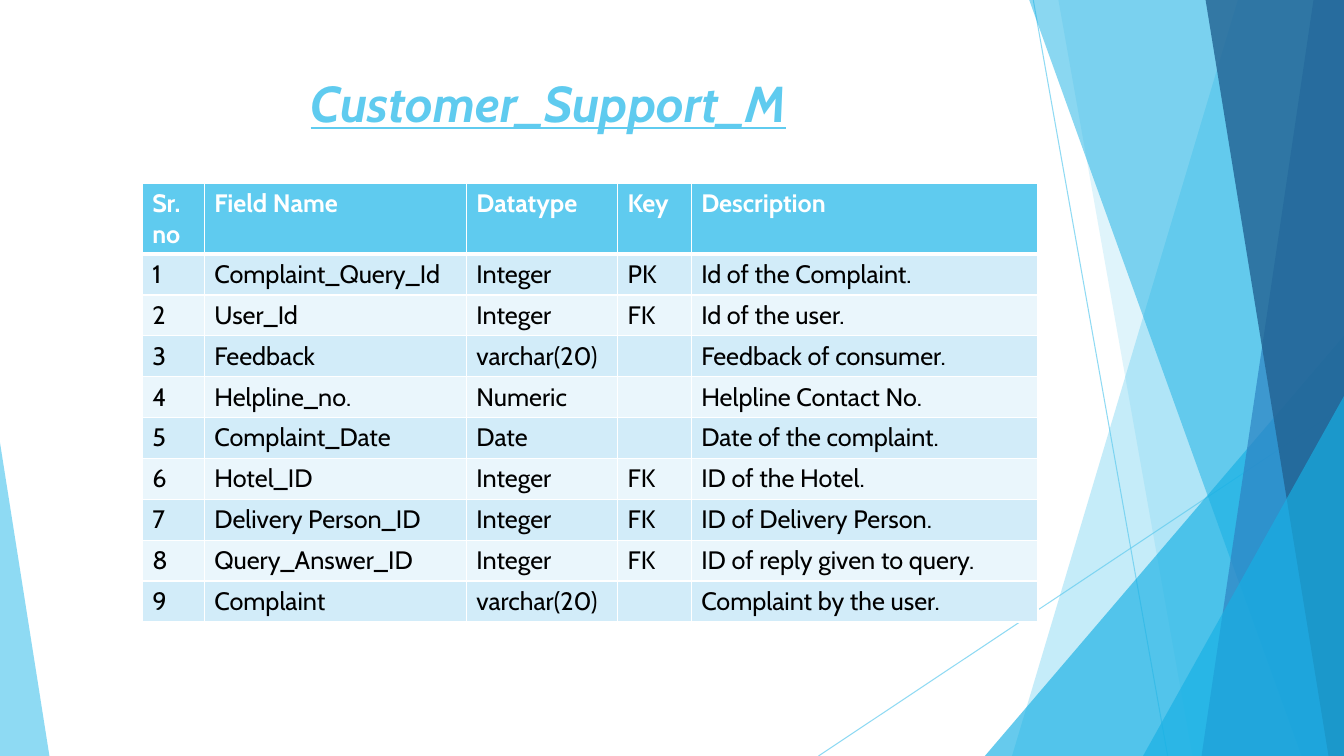
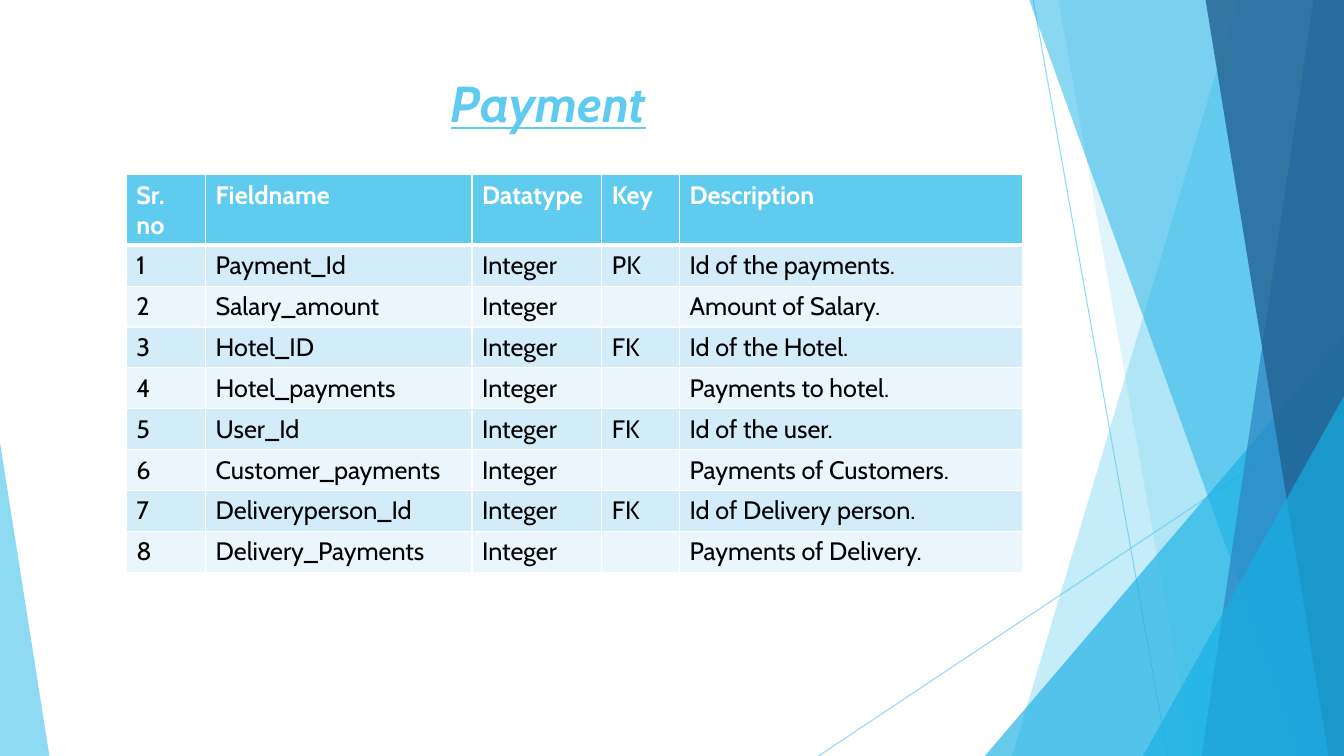
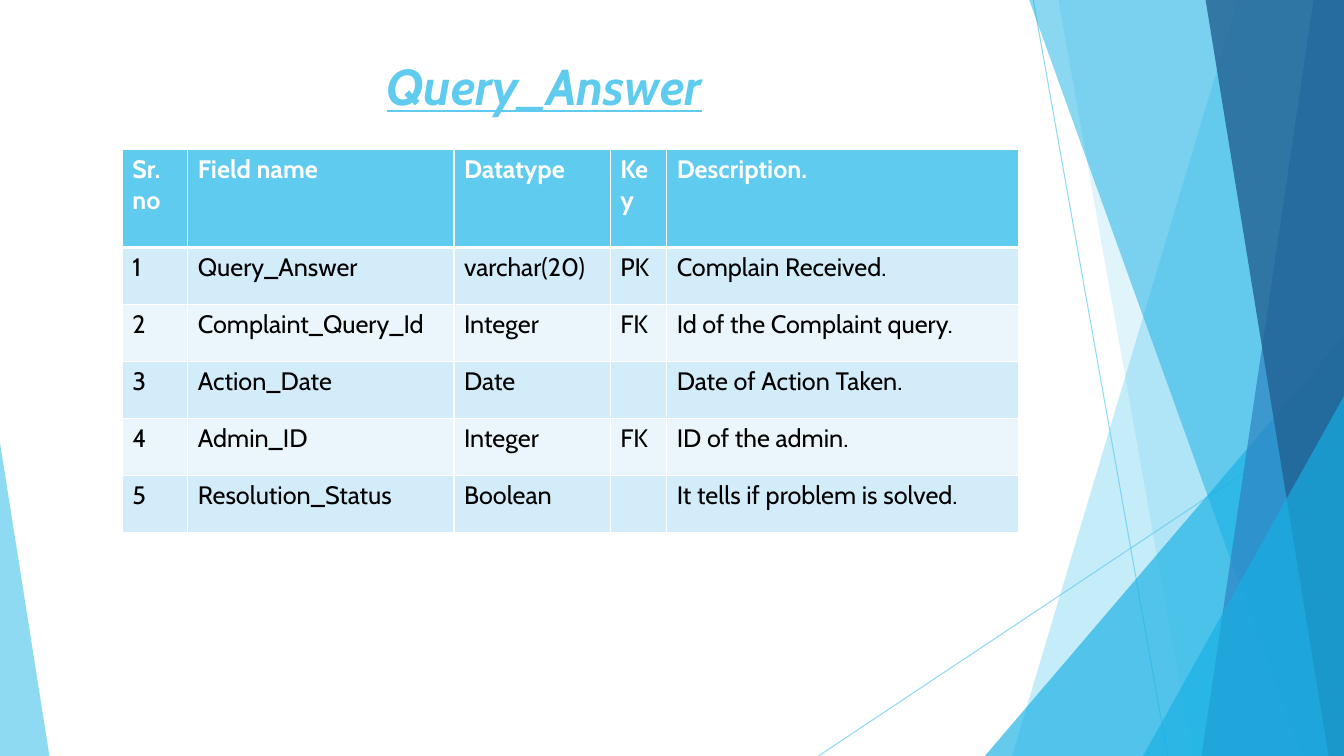
from dataclasses import dataclass

from lxml.etree import SubElement
from pptx import Presentation
from pptx.dml.color import RGBColor
from pptx.enum.shapes import MSO_CONNECTOR, MSO_SHAPE
from pptx.enum.text import MSO_ANCHOR, PP_ALIGN
from pptx.oxml import parse_xml
from pptx.oxml.ns import nsdecls, qn
from pptx.util import Inches, Pt

WIDE, HIGH = Inches(13.33), Inches(7.5)
FONT = "Cabin"
HUES = {
    "sky": "5FCBEF",
    "cyan": "17B0E4",
    "blue": "2E83C3",
    "navy": "226292",
    "dark": "D2ECF9",
    "light": "EAF6FC",
    "white": "FFFFFF",
    "black": "000000",
}


@dataclass(frozen=True)
class Ray:
    start: tuple[float, float]
    end: tuple[float, float]


@dataclass(frozen=True)
class Band:
    head: float
    foot: float
    hue: str
    alpha: int


@dataclass(frozen=True)
class Peak:
    left: float
    top: float
    right: float
    tip: int
    hue: str
    alpha: int


@dataclass(frozen=True)
class Sheet:
    title: str
    box: tuple[float, float, float, float]
    left: float
    top: float
    cols: tuple[float, ...]
    header: float
    row: float
    names: tuple[str, ...]
    fields: tuple[tuple[str, str, str, str], ...]


RAYS = (
    Ray((76.88, 0), (86.88, 100)),
    Ray((100, 53.73), (60.9, 100)),
)
FACETS = (
    Band(92.1, 75.3, "sky", 36),
    Band(78.75, 88.73, "sky", 20),
    Peak(73.28, 44.4, 100, 1, "cyan", 66),
    Band(76.58, 96.83, "cyan", 50),
    Band(97.73, 89.4, "blue", 70),
    Band(89.7, 98.85, "navy", 80),
    Peak(85.05, 52.4, 100, 1, "cyan", 66),
    Peak(0, 58.53, 3.68, 0, "sky", 70),
)

SHEETS = (
    Sheet(
        "Customer_Support_M", (5.55, 8.93, 70.5, 13.2), 10.58, 24.27,
        (4.62, 19.5, 11.25, 5.48, 25.8), 9.33, 5.41,
        ("Sr. no", "Field Name", "Datatype", "Key", "Description"),
        (
            ("Complaint_Query_Id", "Integer", "PK", "Id of the Complaint."),
            ("User_Id", "Integer", "FK", "Id of the user."),
            ("Feedback", "varchar(20)", "", "Feedback of consumer."),
            ("Helpline_no.", "Numeric", "", "Helpline Contact No."),
            ("Complaint_Date", "Date", "", "Date of the complaint."),
            ("Hotel_ID", "Integer", "FK", "ID of the Hotel."),
            ("Delivery Person_ID", "Integer", "FK", "ID of Delivery Person."),
            ("Query_Answer_ID", "Integer", "FK", "ID of reply given to query."),
            ("Complaint", "varchar(20)", "", "Complaint by the user."),
        ),
    ),
    Sheet(
        "Payment", (5.55, 8.93, 70.5, 14.13), 9.4, 23.1,
        (5.9, 19.82, 9.66, 5.79, 25.5), 9.33, 5.41,
        ("Sr. no", "Fieldname", "Datatype", "Key", "Description"),
        (
            ("Payment_Id", "Integer", "PK", "Id of the payments."),
            ("Salary_amount", "Integer", "", "Amount of Salary."),
            ("Hotel_ID", "Integer", "FK", "Id of the Hotel."),
            ("Hotel_payments", "Integer", "", "Payments to hotel."),
            ("User_Id", "Integer", "FK", "Id of the user."),
            ("Customer_payments", "Integer", "", "Payments of Customers."),
            ("Deliveryperson_Id", "Integer", "FK", "Id of Delivery person."),
            ("Delivery_Payments", "Integer", "", "Payments of Delivery."),
        ),
    ),
    Sheet(
        "Query_Answer", (5.25, 6.67, 70.5, 11.87), 9.1, 19.75,
        (4.88, 19.8, 11.63, 4.2, 26.18), 13, 7.53,
        ("Sr. no", "Field name", "Datatype", "Key", "Description."),
        (
            ("Query_Answer", "varchar(20)", "PK", "Complain Received."),
            ("Complaint_Query_Id", "Integer", "FK", "Id of the Complaint query."),
            ("Action_Date", "Date", "", "Date of Action Taken."),
            ("Admin_ID", "Integer", "FK", "ID of the admin."),
            ("Resolution_Status", "Boolean", "", "It tells if problem is solved."),
        ),
    ),
)


def across(share: float) -> int:
    return round(WIDE * share / 100)


def down(share: float) -> int:
    return round(HIGH * share / 100)


def color(hue: str) -> RGBColor:
    return RGBColor.from_string(HUES[hue])


def fade(shape, alpha: int) -> None:
    for tint in shape._element.spPr.iter(qn("a:srgbClr")):
        SubElement(tint, qn("a:alpha")).set("val", str(alpha * 1000))


def style(para, size: int, hue: str, bold: bool) -> None:
    font = para.font
    font.name, font.size, font.bold = FONT, Pt(size), bold
    font.color.rgb = color(hue)


def add_ray(slide, ray: Ray) -> None:
    (left, top), (right, foot) = ray.start, ray.end
    line = slide.shapes.add_connector(
        MSO_CONNECTOR.STRAIGHT, across(left), down(top), across(right), down(foot))
    line.line.color.rgb = color("sky")
    line.line.width = Pt(0.75)
    fade(line, 70)
    SubElement(line._element.spPr, qn("a:effectLst"))


def add_facet(slide, facet: Band | Peak) -> None:
    if isinstance(facet, Band):
        pen = slide.shapes.build_freeform(across(facet.head), 0)
        pen.add_line_segments([(WIDE, 0), (WIDE, HIGH), (across(facet.foot), HIGH)])
        shape = pen.convert_to_shape()
    else:
        shape = slide.shapes.add_shape(
            MSO_SHAPE.ISOSCELES_TRIANGLE, across(facet.left), down(facet.top),
            across(facet.right - facet.left), down(100 - facet.top))
        shape.adjustments[0] = facet.tip
    shape.shadow.inherit = False
    shape.fill.solid()
    shape.fill.fore_color.rgb = color(facet.hue)
    shape.line.fill.background()
    fade(shape, facet.alpha)


def add_title(slide, sheet: Sheet) -> None:
    left, top, width, height = sheet.box
    box = slide.shapes.add_textbox(across(left), down(top), across(width), down(height))
    frame = box.text_frame
    frame.word_wrap = True
    frame.vertical_anchor = MSO_ANCHOR.TOP
    para = frame.paragraphs[0]
    para.text = sheet.title
    para.alignment = PP_ALIGN.CENTER
    style(para, 36, "sky", True)
    para.font.italic = para.font.underline = True


def edge(cell, row: int) -> None:
    props = cell._tc.get_or_add_tcPr()
    sizes = {"L": 1, "R": 1, "T": 3 if row == 1 else 1, "B": 3 if row == 0 else 1}
    for spot, (side, size) in enumerate(sizes.items()):
        props.insert(spot, parse_xml(
            f'<a:ln{side} {nsdecls("a")} w="{Pt(size)}"><a:solidFill>'
            f'<a:srgbClr val="{HUES["white"]}"/></a:solidFill></a:ln{side}>'))


def add_grid(slide, sheet: Sheet) -> None:
    lines = [sheet.names]
    lines += [(str(num), *field) for num, field in enumerate(sheet.fields, 1)]
    tall = sheet.header + sheet.row * len(sheet.fields)
    grid = slide.shapes.add_table(
        len(lines), len(sheet.cols), across(sheet.left), down(sheet.top),
        across(sum(sheet.cols)), down(tall)).table
    grid.horz_banding = False
    for col, share in zip(grid.columns, sheet.cols):
        col.width = across(share)
    for row, line in enumerate(lines):
        first = row == 0
        grid.rows[row].height = down(sheet.header if first else sheet.row)
        fill = "sky" if first else "dark" if row % 2 else "light"
        for col, text in enumerate(line):
            cell = grid.cell(row, col)
            cell.fill.solid()
            cell.fill.fore_color.rgb = color(fill)
            edge(cell, row)
            para = cell.text_frame.paragraphs[0]
            para.text = text
            style(para, 18, "white" if first else "black", first)


def main() -> None:
    deck = Presentation()
    deck.slide_width, deck.slide_height = WIDE, HIGH
    for sheet in SHEETS:
        slide = deck.slides.add_slide(deck.slide_layouts[6])
        for ray in RAYS:
            add_ray(slide, ray)
        for facet in FACETS:
            add_facet(slide, facet)
        add_title(slide, sheet)
        add_grid(slide, sheet)
    deck.save("out.pptx")


if __name__ == "__main__":
    main()
